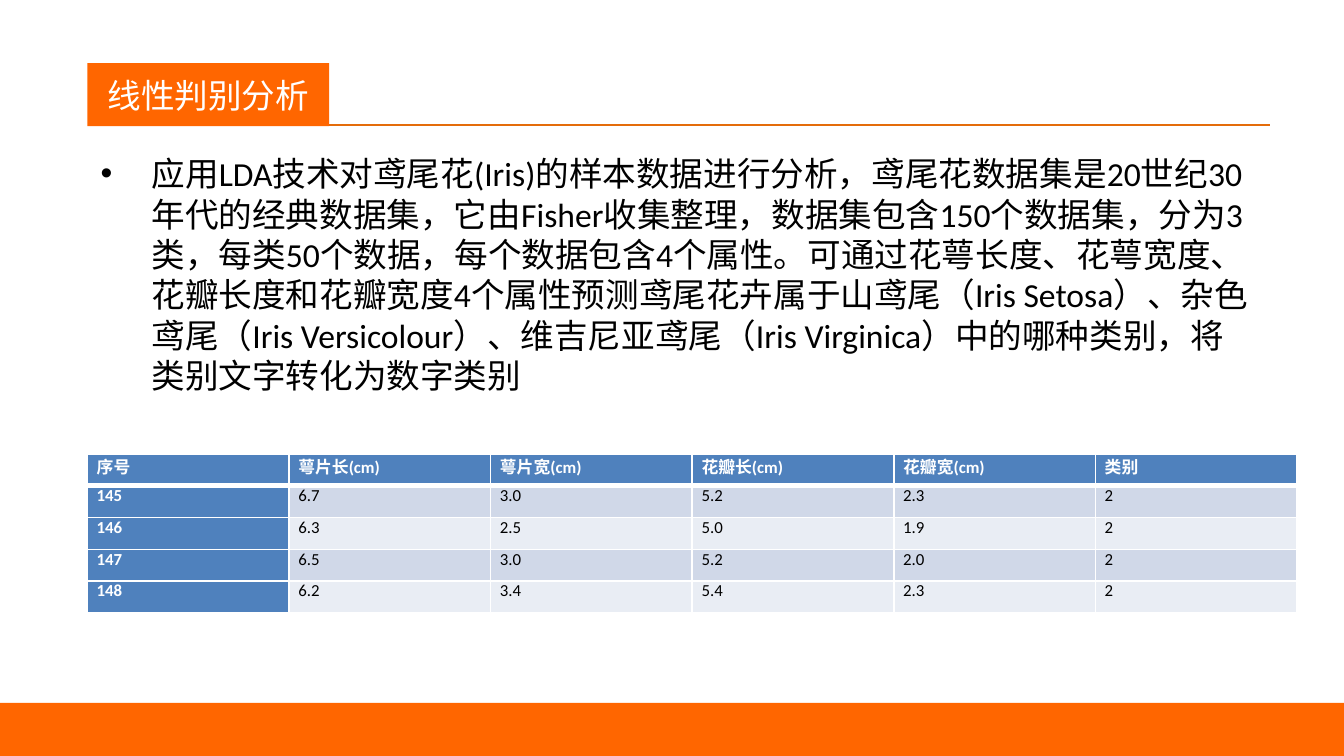
import pptx
import pptx.dml.color
import pptx.enum.lang
import pptx.enum.shapes
import pptx.enum.text
import pptx.util
from lxml import etree
from pptx.oxml.ns import qn
from pptx.util import Inches

TITLE = "线性判别分析"
BODY = (
    "应用LDA技术对鸢尾花(Iris)的样本数据进行分析，鸢尾花数据集是20世纪30年代的经典数据集，"
    "它由Fisher收集整理，数据集包含150个数据集，分为3类，每类50个数据，每个数据包含4个属性。"
    "可通过花萼长度、花萼宽度、花瓣长度和花瓣宽度4个属性预测鸢尾花卉属于山鸢尾（Iris Setosa）、"
    "杂色鸢尾（Iris Versicolour）、维吉尼亚鸢尾（Iris Virginica）中的哪种类别，将类别文字转化为数字类别"
)
IRIS_ROWS = [
    ("序号", "萼片长(cm)", "萼片宽(cm)", "花瓣长(cm)", "花瓣宽(cm)", "类别"),
    ("145", "6.7", "3.0", "5.2", "2.3", "2"),
    ("146", "6.3", "2.5", "5.0", "1.9", "2"),
    ("147", "6.5", "3.0", "5.2", "2.0", "2"),
    ("148", "6.2", "3.4", "5.4", "2.3", "2"),
]
ORANGE, WHITE, BLACK = "FF6600", "FFFFFF", "000000"
HEADER_FILL = "4F81BD"
BAND_FILLS = ("E9EDF4", "D0D8E8")
LEFT = 0.65


def color(value):
    return pptx.dml.color.RGBColor.from_string(value)


def write(frame, text, size=18, ink=BLACK, bold=False, align="LEFT"):
    paragraph = frame.paragraphs[0]
    paragraph.alignment = getattr(pptx.enum.text.PP_ALIGN, align)
    run = paragraph.add_run()
    run.text = text
    run.font.name = "Calibri"
    run.font.size = pptx.util.Pt(size)
    run.font.bold = bold
    run.font.color.rgb = color(ink)
    run.font.language_id = pptx.enum.lang.MSO_LANGUAGE_ID.SIMPLIFIED_CHINESE
    return paragraph


def add_block(slide, left, top, width, height):
    shape = slide.shapes.add_shape(
        pptx.enum.shapes.MSO_SHAPE.RECTANGLE,
        Inches(left), Inches(top), Inches(width), Inches(height))
    shape.shadow.inherit = False
    shape.fill.solid()
    shape.fill.fore_color.rgb = color(ORANGE)
    shape.line.fill.background()
    return shape


def add_title(slide):
    rule = slide.shapes.add_connector(
        pptx.enum.shapes.MSO_CONNECTOR.STRAIGHT,
        Inches(0.82), Inches(0.93), Inches(9.45), Inches(0.93))
    rule.line.color.rgb = color("E46C0A")
    rule.line.width = pptx.util.Pt(0.75)
    etree.SubElement(rule._element.spPr, qn("a:effectLst"))
    title = add_block(slide, LEFT, 0.47, 1.8, 0.47)
    title.text_frame.vertical_anchor = pptx.enum.text.MSO_ANCHOR.MIDDLE
    write(title.text_frame, TITLE, ink=WHITE, align="CENTER")


def add_body(slide):
    box = slide.shapes.add_textbox(Inches(LEFT), Inches(1.09), Inches(8.8), Inches(1.92))
    box.text_frame.word_wrap = True
    paragraph = write(box.text_frame, BODY)
    properties = paragraph._p.get_or_add_pPr()
    properties.set("marL", str(Inches(0.38)))
    properties.set("indent", str(-Inches(0.38)))
    etree.SubElement(properties, qn("a:buFont")).set("typeface", "Arial")
    etree.SubElement(properties, qn("a:buChar")).set("char", "•")


def add_borders(cell, bottom):
    properties = cell._tc.get_or_add_tcPr()
    for side, width in (("L", 1), ("R", 1), ("T", 1), ("B", bottom)):
        border = etree.SubElement(properties, qn(f"a:ln{side}"))
        border.set("w", str(pptx.util.Pt(width)))
        fill = etree.SubElement(border, qn("a:solidFill"))
        etree.SubElement(fill, qn("a:srgbClr")).set("val", WHITE)


def add_iris_table(slide):
    table = slide.shapes.add_table(
        len(IRIS_ROWS), len(IRIS_ROWS[0]),
        Inches(LEFT), Inches(3.38), Inches(9), Inches(1.18)).table
    table.first_col = True
    for row_index, values in enumerate(IRIS_ROWS):
        for column_index, value in enumerate(values):
            heading = row_index == 0 or column_index == 0
            cell = table.cell(row_index, column_index)
            cell.margin_left = cell.margin_right = Inches(0.07)
            cell.margin_top = cell.margin_bottom = 0
            if row_index < 2:
                add_borders(cell, bottom=3 if row_index == 0 else 1)
                if row_index == 1:
                    top_border = cell._tc.tcPr.find(qn("a:lnT"))
                    top_border.set("w", str(pptx.util.Pt(3)))
            cell.fill.solid()
            cell.fill.fore_color.rgb = color(HEADER_FILL if heading else BAND_FILLS[row_index % 2])
            write(cell.text_frame, value, size=9, ink=WHITE if heading else BLACK, bold=heading)


def main():
    presentation = pptx.Presentation()
    presentation.slide_width = Inches(10)
    presentation.slide_height = presentation.slide_width * 9 // 16
    slide = presentation.slides.add_slide(presentation.slide_layouts[6])
    add_block(slide, 0, 5.23, 10, 0.4)
    add_title(slide)
    add_body(slide)
    add_iris_table(slide)
    presentation.save("out.pptx")


if __name__ == "__main__":
    main()
